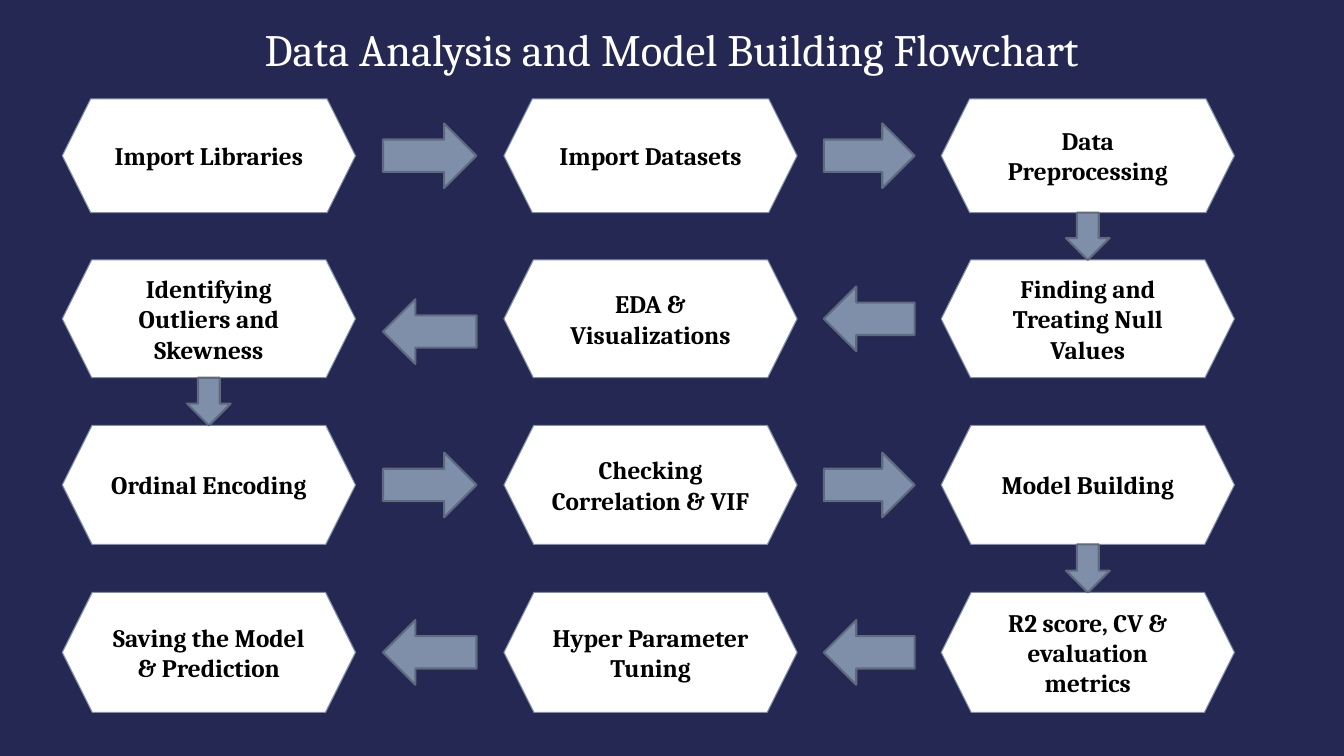
from pptx import Presentation
from pptx.dml.color import RGBColor
from pptx.enum.shapes import MSO_SHAPE
from pptx.enum.text import MSO_ANCHOR, MSO_AUTO_SIZE, PP_ALIGN
from pptx.util import Cm, Pt

HEXAGON = MSO_SHAPE.HEXAGON
RIGHT = MSO_SHAPE.RIGHT_ARROW
LEFT = MSO_SHAPE.LEFT_ARROW
DOWN = MSO_SHAPE.DOWN_ARROW
MIDDLE = MSO_ANCHOR.MIDDLE
CENTER = PP_ALIGN.CENTER
NO_AUTOFIT = MSO_AUTO_SIZE.NONE

COLORS = {
    "background": "242852",
    "title": "FFFFFF",
    "step": "FFFFFF",
    "step_text": "000000",
    "arrow": "7F8FA9",
    "arrow_edge": "5E6A7D",
}
FONT = "Cambria"

SLIDE_WIDTH, SLIDE_HEIGHT = 33.87, 19.05
STEP_LEFTS = [1.57, 12.7, 23.72]
STEP_WIDTH = 7.39
ARROW_SHARE = 0.63
ARROW_HEIGHT = 1.63
DOWN_WIDTH = 1.1

ROWS = [
    {"top": 2.49, "height": 2.87, "arrow": RIGHT, "drops": [0, 0],
     "exit": 2,
     "steps": ["Import Libraries", "Import Datasets", "Data Preprocessing"]},
    {"top": 6.55, "height": 2.97, "arrow": LEFT, "drops": [0.32, 0],
     "exit": 0,
     "steps": ["Identifying Outliers and Skewness", "EDA & Visualizations",
               "Finding and Treating Null Values"]},
    {"top": 10.72, "height": 3.0, "arrow": RIGHT, "drops": [0, 0],
     "exit": 2,
     "steps": ["Ordinal Encoding", "Checking Correlation & VIF",
               "Model Building"]},
    {"top": 14.93, "height": 3.02, "arrow": LEFT, "drops": [0, 0],
     "exit": None,
     "steps": ["Saving the Model & Prediction", "Hyper Parameter Tuning",
               "R2 score, CV & evaluation metrics"]},
]


def color(name):
    return RGBColor.from_string(COLORS[name])


def write(holder, text, *, size, ink, bold=False):
    frame = holder.text_frame
    frame.word_wrap = True
    frame.auto_size = NO_AUTOFIT
    frame.vertical_anchor = MIDDLE
    paragraph = frame.paragraphs[0]
    paragraph.alignment = CENTER
    run = paragraph.add_run()
    run.text = text
    run.font.name = FONT
    run.font.size = Pt(size)
    run.font.bold = bold
    run.font.color.rgb = color(ink)


def add_block(slide, kind, left, top, width, height, *, fill, edge, weight):
    block = slide.shapes.add_shape(
        kind, Cm(left), Cm(top), Cm(width), Cm(height))
    block.shadow.inherit = False
    block.fill.solid()
    block.fill.fore_color.rgb = color(fill)
    block.line.color.rgb = color(edge)
    block.line.width = Pt(weight)
    return block


def add_arrow(slide, kind, left, top, width, height):
    add_block(slide, kind, left, top, width, height,
              fill="arrow", edge="arrow_edge", weight=1.5)


def add_heading(slide, left, top, width, height):
    heading = slide.shapes.title
    heading.left, heading.top = Cm(left), Cm(top)
    heading.width, heading.height = Cm(width), Cm(height)
    write(heading, "Data Analysis and Model Building Flowchart",
          size=32, ink="title")


def add_row(slide, row, top, height):
    for left, label in zip(STEP_LEFTS, row["steps"]):
        step = add_block(slide, HEXAGON, left, top, STEP_WIDTH, height,
                         fill="step", edge="arrow", weight=0.75)
        write(step, label, size=18, ink="step_text", bold=True)
    arrow_top = top + (height - ARROW_HEIGHT) / 2
    for left, following, drop in zip(STEP_LEFTS, STEP_LEFTS[1:], row["drops"]):
        gap_left = left + STEP_WIDTH
        gap = following - gap_left
        add_arrow(slide, row["arrow"], gap_left + gap * (1 - ARROW_SHARE) / 2,
                  arrow_top + drop, gap * ARROW_SHARE, ARROW_HEIGHT)


def add_descent(slide, column, top, bottom):
    left = STEP_LEFTS[column] + (STEP_WIDTH - DOWN_WIDTH) / 2
    add_arrow(slide, DOWN, left, top, DOWN_WIDTH, bottom - top)


def main():
    deck = Presentation()
    deck.slide_width, deck.slide_height = Cm(SLIDE_WIDTH), Cm(SLIDE_HEIGHT)
    slide = deck.slides.add_slide(deck.slide_layouts.get_by_name("Title Only"))
    slide.background.fill.solid()
    slide.background.fill.fore_color.rgb = color("background")
    add_heading(slide, 0, 0.41, SLIDE_WIDTH, 1.63)
    for row in ROWS:
        add_row(slide, row, row["top"], row["height"])
    for row, following in zip(ROWS, ROWS[1:]):
        add_descent(slide, row["exit"], row["top"] + row["height"],
                    following["top"])
    deck.save("out.pptx")


if __name__ == "__main__":
    main()
